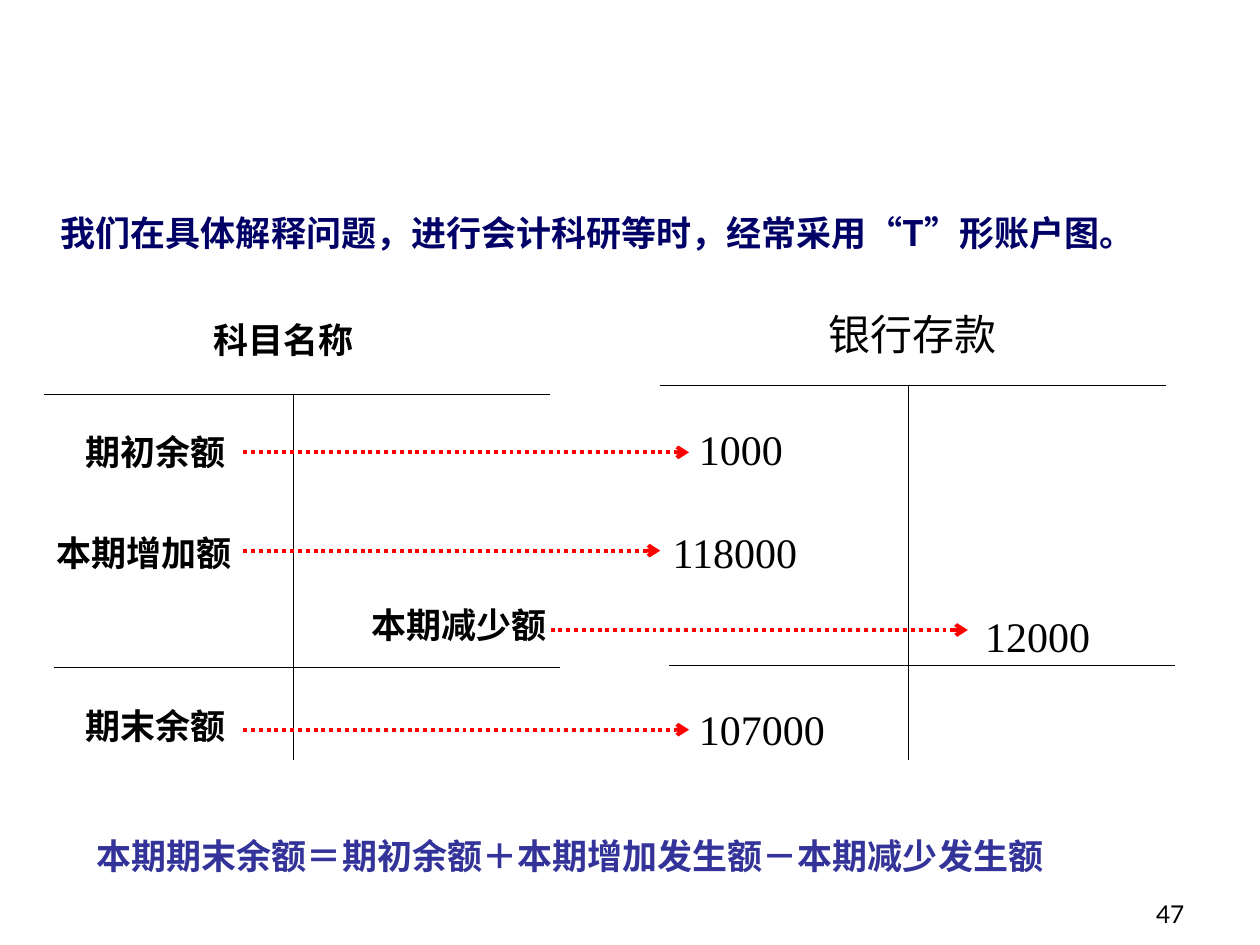
from dataclasses import dataclass

from lxml.etree import SubElement
from pptx import Presentation
from pptx.dml.color import RGBColor
from pptx.enum.dml import MSO_LINE
from pptx.enum.shapes import MSO_CONNECTOR
from pptx.enum.text import MSO_ANCHOR, MSO_AUTO_SIZE, PP_ALIGN
from pptx.oxml.ns import qn
from pptx.util import Cm, Pt


@dataclass(frozen=True)
class Theme:
    ink: RGBColor = RGBColor(0x00, 0x00, 0x00)
    navy: RGBColor = RGBColor(0x00, 0x00, 0x66)
    indigo: RGBColor = RGBColor(0x33, 0x33, 0x99)
    red: RGBColor = RGBColor(0xFF, 0x00, 0x00)
    serif: str = "Times New Roman"
    quote: str = "Arial"
    han: str = "Noto Sans CJK SC"
    number: str = "Lato"
    label_size: Pt = Pt(20)
    value_size: Pt = Pt(24)
    number_size: Pt = Pt(14)
    rule: Pt = Pt(0.75)
    arrow: Pt = Pt(2.25)


theme = Theme()
deck = Presentation()
deck.slide_width, deck.slide_height = Cm(25.4), Cm(19.05)
page = deck.slides.add_slide(deck.slide_layouts.get_by_name("Title Only"))


def write(box, place, parts, size, colour, bold=False, anchor=MSO_ANCHOR.TOP,
          align=PP_ALIGN.LEFT):
    """Place a box and fill it with (text, font) parts in one paragraph."""
    box.left, box.top, box.width, box.height = (Cm(length) for length in place)
    frame = box.text_frame
    frame.word_wrap = True
    frame.auto_size = MSO_AUTO_SIZE.NONE
    frame.vertical_anchor = anchor
    para = frame.paragraphs[0]
    para.alignment = align
    for text, font_name in parts:
        span = para.add_run()
        span.text = text
        span.font.name = font_name
        span.font.size = size
        span.font.bold = bold
        span.font.color.rgb = colour
        SubElement(span.font._element, qn("a:ea"), typeface=theme.han)


def draw_line(start_x, start_y, end_x, end_y, colour, width):
    line = page.shapes.add_connector(
        MSO_CONNECTOR.STRAIGHT, Cm(start_x), Cm(start_y), Cm(end_x), Cm(end_y))
    line.line.color.rgb = colour
    line.line.width = width
    SubElement(line._element.spPr, qn("a:effectLst"))
    return line


# Heading sentence and closing formula
write(page.shapes.title, (0.97, 4.14, 22.8, 1.09),
      [("我们在具体解释问题，进行会计科研等时，经常采用", theme.han),
       ("“", theme.quote), ("T", theme.han), ("”", theme.quote),
       ("形账户图。", theme.han)],
      theme.label_size, theme.navy, bold=True, anchor=MSO_ANCHOR.MIDDLE)
write(page.shapes.add_textbox(0, 0, 0, 0), (1.7, 16.71, 19.91, 1.09),
      [("本期期末余额＝期初余额＋本期增加发生额－本期减少发生额", theme.han)],
      theme.label_size, theme.indigo, bold=True, anchor=MSO_ANCHOR.MIDDLE)

# T accounts: left, top, stem x, lower rule's left and y
rule_width, stem_bottom = 10.2, 15.32
for left, top, stem, lower_left, lower in [(0.89, 7.95, 5.92, 1.09, 13.46),
                                           (13.31, 7.77, 18.31, 13.49, 13.41)]:
    for ends in [(left, top, left + rule_width, top),
                 (stem, top, stem, stem_bottom),
                 (lower_left, lower, lower_left + rule_width, lower)]:
        draw_line(*ends, theme.ink, theme.rule)

# Account labels on the left, the worked example on the right
labels = [("科目名称", 4.06, 6.3, 5.2), ("期初余额", 1.47, 8.56, 3.9),
          ("本期增加额", 0.89, 10.59, 4.27), ("本期减少额", 7.24, 12.04, 4.27),
          ("期末余额", 1.47, 14.07, 3.7)]
values = [("银行存款", 16.46, 6.1, 5.2), ("1000", 13.84, 8.41, 3.9),
          ("118000", 13.31, 10.49, 4.27), ("12000", 19.61, 12.19, 4.27),
          ("107000", 13.84, 14.05, 3.7)]
for entries, height, size, bold in [(labels, 1.09, theme.label_size, True),
                                    (values, 1.27, theme.value_size, False)]:
    for text, left, top, width in entries:
        write(page.shapes.add_textbox(0, 0, 0, 0), (left, top, width, height),
              [(text, theme.serif)], size, theme.ink, bold)

# Dotted arrows from each label to its amount
for start, end, height in [(4.9, 13.89, 9.12), (4.9, 13.31, 11.1),
                           (11.1, 19.51, 12.7), (4.9, 13.89, 14.71)]:
    arrow = draw_line(start, height, end, height, theme.red, theme.arrow)
    arrow.line.dash_style = MSO_LINE.ROUND_DOT
    SubElement(arrow.line._get_or_add_ln(), qn("a:tailEnd"), type="arrow")

# Page number
write(page.shapes.add_textbox(0, 0, 0, 0), (18.85, 17.58, 5.28, 1.27),
      [("47", theme.number)], theme.number_size, theme.ink,
      anchor=MSO_ANCHOR.BOTTOM, align=PP_ALIGN.RIGHT)

deck.save("out.pptx")
